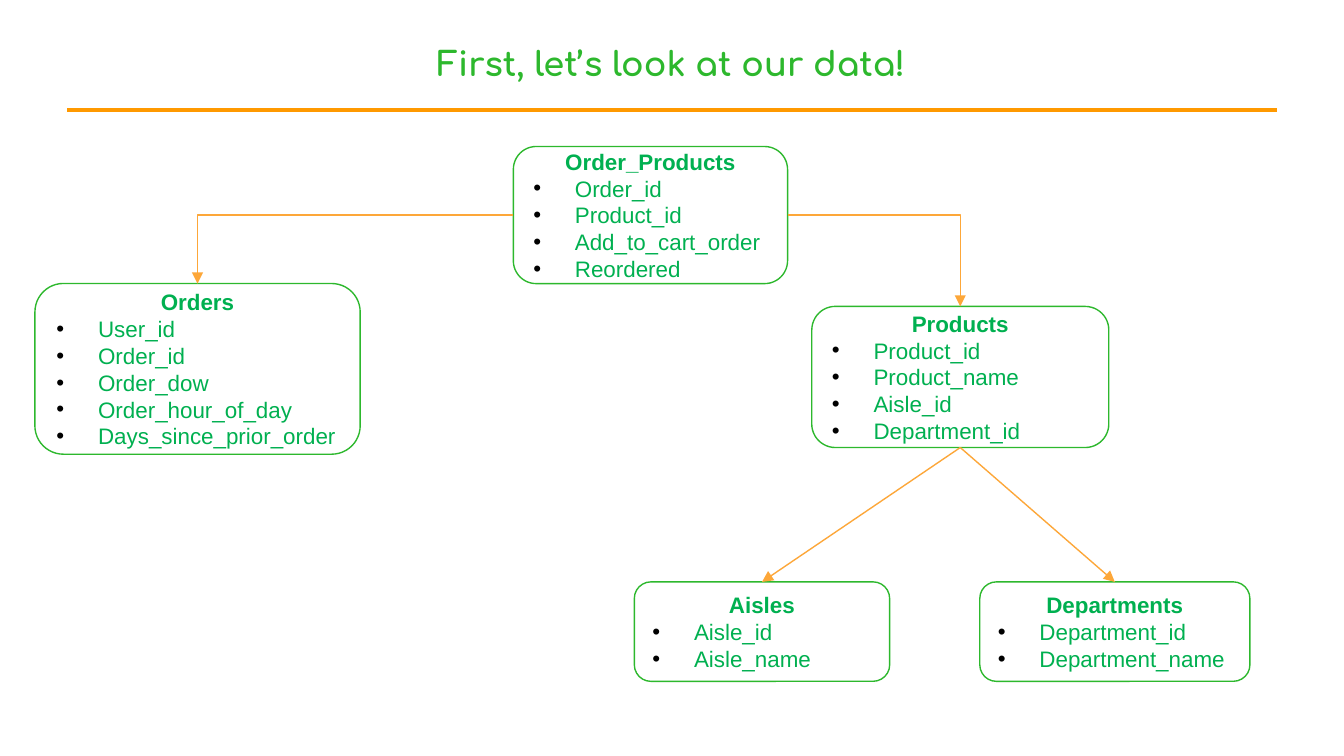
from lxml import etree
from pptx import Presentation
from pptx.dml.color import RGBColor
from pptx.enum.shapes import MSO_CONNECTOR, MSO_SHAPE
from pptx.enum.text import MSO_ANCHOR, PP_ALIGN
from pptx.oxml.ns import qn
from pptx.util import Inches, Pt

STRAIGHT, ELBOW = MSO_CONNECTOR.STRAIGHT, MSO_CONNECTOR.ELBOW
ROUNDED_RECTANGLE = MSO_SHAPE.ROUNDED_RECTANGLE
MIDDLE = MSO_ANCHOR.MIDDLE
CENTER, LEFT = PP_ALIGN.CENTER, PP_ALIGN.LEFT

WHITE = RGBColor(0xFF, 0xFF, 0xFF)
GREEN = RGBColor(0x2D, 0xB8, 0x2D)
TEXT_GREEN = RGBColor(0x00, 0xB0, 0x50)
RULE_ORANGE = RGBColor(0xFF, 0x99, 0x00)
ARROW_ORANGE = RGBColor(0xFD, 0xA7, 0x39)
BULLET_COLOR = "000000"

# Connection sites of a rounded rectangle
TOP, LEFT_SIDE, BOTTOM, RIGHT_SIDE = range(4)

# Table name: (left, top, width, height), fields
TABLES = {
    "Order_Products": ((3.82, 1.09, 2.04, 1.02),
                       ["Order_id", "Product_id", "Add_to_cart_order", "Reordered"]),
    "Orders": ((0.26, 2.11, 2.42, 1.27),
               ["User_id", "Order_id", "Order_dow", "Order_hour_of_day",
                "Days_since_prior_order"]),
    "Products": ((6.04, 2.28, 2.21, 1.05),
                 ["Product_id", "Product_name", "Aisle_id", "Department_id"]),
    "Departments": ((7.29, 4.33, 2.01, 0.74), ["Department_id", "Department_name"]),
    "Aisles": ((4.72, 4.33, 1.9, 0.74), ["Aisle_id", "Aisle_name"]),
}

# Parent table, its site, child table, connector type
RELATIONS = [
    ("Order_Products", LEFT_SIDE, "Orders", ELBOW),
    ("Order_Products", RIGHT_SIDE, "Products", ELBOW),
    ("Products", BOTTOM, "Aisles", STRAIGHT),
    ("Products", BOTTOM, "Departments", STRAIGHT),
]


def prepare_frame(shape):
    frame = shape.text_frame
    frame.word_wrap = True
    frame.vertical_anchor = MIDDLE
    frame.margin_left = frame.margin_right = Inches(0.1)
    frame.margin_top = frame.margin_bottom = Inches(0.1)
    return frame


def write(paragraph, text, align, font_name, size, color, bold=False):
    paragraph.text = text
    paragraph.alignment = align
    font = paragraph.font
    font.name, font.size, font.bold = font_name, Pt(size), bold
    font.color.rgb = color


def add_bullet(paragraph):
    properties = paragraph._p.get_or_add_pPr()
    properties.set("marL", str(Inches(0.31)))
    properties.set("indent", str(Inches(-0.31)))
    color = etree.SubElement(properties, qn("a:buClr"))
    etree.SubElement(color, qn("a:srgbClr"), val=BULLET_COLOR)
    etree.SubElement(properties, qn("a:buFont"), typeface="Arial")
    etree.SubElement(properties, qn("a:buChar"), char="•")


def add_title(slide, text):
    box = slide.shapes.add_textbox(Inches(1.55), Inches(0.26), Inches(6.89), Inches(0.42))
    write(prepare_frame(box).paragraphs[0], text, CENTER, "Comfortaa", 18, GREEN, True)


def add_table_box(slide, name, bounds, fields):
    box = slide.shapes.add_shape(ROUNDED_RECTANGLE, *map(Inches, bounds))
    box.shadow.inherit = False
    box.fill.solid()
    box.fill.fore_color.rgb = WHITE
    box.line.color.rgb = GREEN
    box.line.width = Pt(0.75)
    frame = prepare_frame(box)
    write(frame.paragraphs[0], name, CENTER, "Arial", 12, TEXT_GREEN, True)
    for field in fields:
        paragraph = frame.add_paragraph()
        add_bullet(paragraph)
        write(paragraph, field, LEFT, "Arial", 12, TEXT_GREEN)
    return box


def add_line(slide, kind, points, color, width):
    line = slide.shapes.add_connector(kind, *map(Inches, points))
    line.line.color.rgb = color
    line.line.width = Pt(width)
    etree.SubElement(line._element.spPr, qn("a:effectLst"))
    return line


def add_relation(slide, parent, site, child, kind):
    """Glue an arrow from a site of the parent to the top of the child."""
    arrow = add_line(slide, kind, (0, 0, 0, 0), ARROW_ORANGE, 0.75)
    arrow.begin_connect(parent, site)
    arrow.end_connect(child, TOP)
    properties = arrow._element.spPr
    if kind == ELBOW:
        properties.find(qn("a:prstGeom")).set("prst", "bentConnector2")
    etree.SubElement(properties.find(qn("a:ln")), qn("a:tailEnd"), type="triangle")


def main():
    presentation = Presentation()
    presentation.slide_width = Inches(10)
    presentation.slide_height = Inches(10 * 9 / 16)
    slide = presentation.slides.add_slide(presentation.slide_layouts[6])
    add_title(slide, "First, let’s look at our data!")
    add_line(slide, STRAIGHT, (0.5, 0.82, 9.5, 0.82), RULE_ORANGE, 2.25)
    boxes = {name: add_table_box(slide, name, bounds, fields)
             for name, (bounds, fields) in TABLES.items()}
    for parent, site, child, kind in RELATIONS:
        add_relation(slide, boxes[parent], site, boxes[child], kind)
    presentation.save("out.pptx")


if __name__ == "__main__":
    main()
